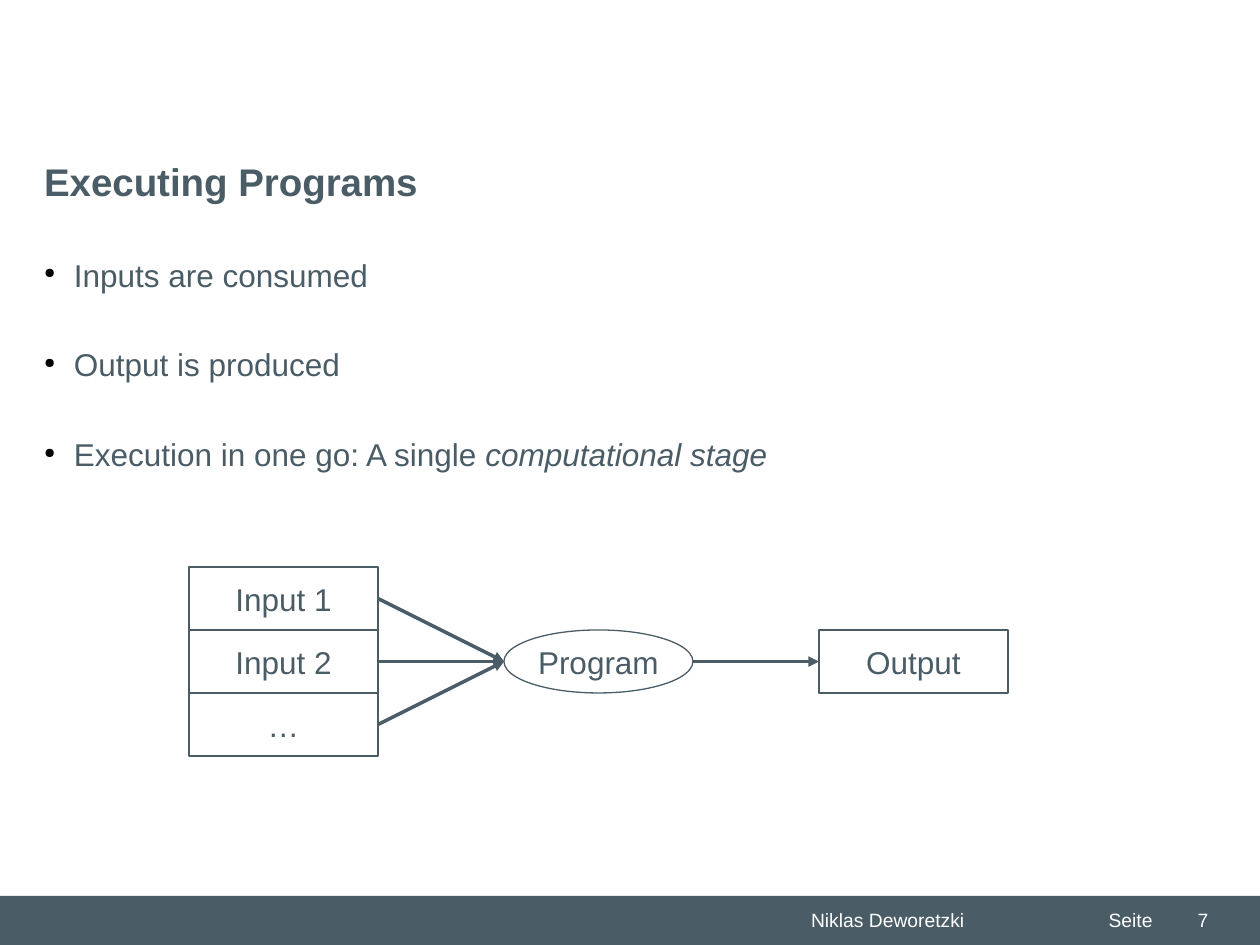
from lxml import etree
from pptx import Presentation
from pptx import util as u
from pptx.dml.color import RGBColor
from pptx.enum import shapes, text
from pptx.oxml.ns import qn

SLATE, WHITE, BLACK = "4A5C66", "FFFFFF", "000000"
UNIT = 1.27  # height of a diagram node in cm


def color(value):
    return RGBColor.from_string(value)


def write(box, words, size, ink=SLATE, align=text.PP_ALIGN.LEFT, bold=False):
    """Put words in the first paragraph of a box and format it."""
    para = box.text_frame.paragraphs[0]
    para.text = words
    para.alignment = align
    para.font.name = "Arial"
    para.font.size = u.Pt(size)
    para.font.bold = bold
    para.font.color.rgb = color(ink)


deck = Presentation()
deck.slide_width, deck.slide_height = u.Cm(25.4), u.Cm(19.05)
page = deck.slides.add_slide(deck.slide_layouts[6])

# Footer
bar = page.shapes.add_shape(shapes.MSO_SHAPE.RECTANGLE, 0, u.Cm(18.06), u.Cm(25.4), u.Cm(0.99))
bar.shadow.inherit = False
bar.fill.solid()
bar.fill.fore_color.rgb = color(SLATE)
bar.line.fill.background()
for words, left, width, align in [
    ("Niklas Deworetzki", 16.1, 6, text.PP_ALIGN.LEFT),
    ("Seite", 22.1, 1.6, text.PP_ALIGN.LEFT),
    ("7", 23.29, 1.32, text.PP_ALIGN.RIGHT),
]:
    box = page.shapes.add_textbox(u.Cm(left), u.Cm(18.19), u.Cm(width), u.Cm(0.72))
    box.text_frame.word_wrap = True
    box.text_frame.vertical_anchor = text.MSO_ANCHOR.MIDDLE
    write(box, words, 11, WHITE, align)

# Title
title = page.shapes.add_textbox(u.Cm(0.89), u.Cm(3.07), u.Cm(23.39), u.Cm(1.6))
title.text_frame.word_wrap = True
title.text_frame.margin_left = title.text_frame.margin_right = 0
write(title, "Executing Programs", 22, bold=True)

# Bullet list; each item is a list of (words, italic) spans
body = page.shapes.add_textbox(u.Cm(0.89), u.Cm(5.03), u.Cm(23.39), u.Cm(4.39))
body.text_frame.word_wrap = True
body.text_frame.margin_left = 0
items = [
    [("Inputs are consumed", False)],
    [("Output is produced", False)],
    [("Execution in one go: A single ", False), ("computational stage", True)],
]
for index, item in enumerate(items):
    para = body.text_frame.add_paragraph() if index else body.text_frame.paragraphs[0]
    if index:
        para.space_before = u.Pt(29.6)
    props = para._p.get_or_add_pPr()
    props.set("marL", str(u.Cm(0.6)))
    props.set("indent", str(u.Cm(-0.6)))
    bullet_color = etree.SubElement(props, qn("a:buClr"))
    etree.SubElement(bullet_color, qn("a:srgbClr"), val=BLACK)
    etree.SubElement(props, qn("a:buSzPct"), val="45000")
    etree.SubElement(props, qn("a:buChar"), char="●")
    para.font.name = "Arial"
    para.font.size = u.Pt(18)
    para.font.color.rgb = color(SLATE)
    for words, italic in item:
        span = para.add_run()
        span.text = words
        if italic:
            span.font.italic = True

# Diagram nodes, placed in half-inch units
nodes = {}
for words, column, row in [
    ("Input 1", 3, 9),
    ("Input 2", 3, 10),
    ("…", 3, 11),
    ("Program", 8, 10),
    ("Output", 13, 10),
]:
    kind = shapes.MSO_SHAPE.OVAL if words == "Program" else shapes.MSO_SHAPE.RECTANGLE
    node = page.shapes.add_shape(
        kind, u.Cm(column * UNIT), u.Cm(row * UNIT), u.Cm(3 * UNIT), u.Cm(UNIT))
    node.shadow.inherit = False
    node.fill.background()
    node.line.color.rgb = color(SLATE)
    node.line.width = 0
    node.text_frame.word_wrap = False
    node.text_frame.vertical_anchor = text.MSO_ANCHOR.MIDDLE
    write(node, words, 18, align=text.PP_ALIGN.CENTER)
    nodes[words] = node

# Arrows into and out of the program
for source, target in [
    ("Input 1", "Program"),
    ("Input 2", "Program"),
    ("…", "Program"),
    ("Program", "Output"),
]:
    start, end = nodes[source], nodes[target]
    arrow = page.shapes.add_connector(
        shapes.MSO_CONNECTOR.STRAIGHT,
        start.left + start.width, start.top + start.height // 2,
        end.left, end.top + end.height // 2)
    if source == "Program":
        arrow.end_connect(end, 1)
    else:
        arrow.begin_connect(start, 3)
    arrow.line.color.rgb = color(SLATE)
    arrow.line.width = 0
    etree.SubElement(arrow.line._get_or_add_ln(), qn("a:tailEnd"), type="triangle")
    etree.SubElement(arrow._element.spPr, qn("a:effectLst"))

deck.save("out.pptx")
